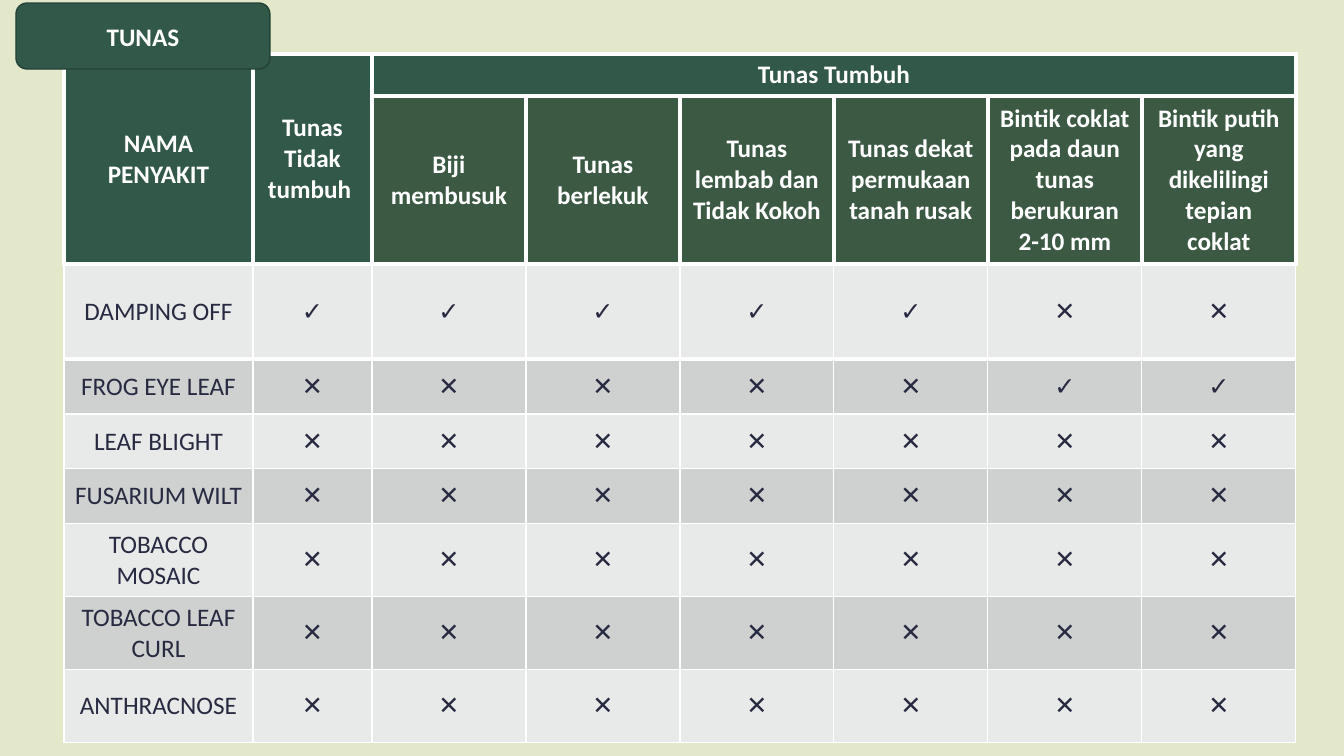
from lxml.etree import SubElement
from pptx import Presentation
from pptx.dml.color import RGBColor
from pptx.enum.shapes import MSO_SHAPE
from pptx.enum.text import MSO_ANCHOR, PP_ALIGN
from pptx.oxml.ns import qn
from pptx.util import Pt

THEME = {
    "font": "Calibri",
    "size": 18,
    "background": "E4E8CB",
    "header": "315848",
    "subheader": "3C5A43",
    "tag_line": "244135",
    "light": "FFFFFF",
    "dark": "272A40",
    "bands": ("E8EAE9", "CED1CF"),
    "thick": 3,
    "thin": 1,
}
PX = 914400 / 100.8


def write_text(text_frame, text, color, bold):
    paragraph = text_frame.paragraphs[0]
    paragraph.alignment = PP_ALIGN.CENTER
    run = paragraph.add_run()
    run.text = text
    run.font.name = THEME["font"]
    run.font.size = Pt(THEME["size"])
    run.font.bold = bold
    run.font.color.rgb = RGBColor.from_string(THEME[color])


def style_cell(cell, fill, top, bottom, side):
    properties = cell._tc.get_or_add_tcPr()
    for tag, width in (("a:lnL", side), ("a:lnR", side), ("a:lnT", top), ("a:lnB", bottom)):
        line = SubElement(properties, qn(tag), w=str(Pt(width)))
        line_fill = SubElement(line, qn("a:solidFill"))
        SubElement(line_fill, qn("a:srgbClr"), val=THEME["light"])
    cell.fill.solid()
    cell.fill.fore_color.rgb = RGBColor.from_string(fill)
    cell.vertical_anchor = MSO_ANCHOR.MIDDLE


presentation = Presentation()
presentation.slide_width = round(1344 * PX)
presentation.slide_height = round(756 * PX)
slide = presentation.slides.add_slide(presentation.slide_layouts[6])
slide.background.fill.solid()
slide.background.fill.fore_color.rgb = RGBColor.from_string(THEME["background"])

column_widths = [189, 119] + [154] * 6
row_heights = [42, 168, 95, 55, 55, 55, 73, 73, 73]
headers = {
    (0, 0): "NAMA PENYAKIT",
    (0, 1): "Tunas Tidak tumbuh ",
    (0, 2): "Tunas Tumbuh",
    (1, 2): "Biji membusuk",
    (1, 3): "Tunas berlekuk",
    (1, 4): "Tunas lembab dan Tidak Kokoh",
    (1, 5): "Tunas dekat permukaan tanah rusak",
    (1, 6): "Bintik coklat pada daun tunas berukuran 2-10 mm",
    (1, 7): "Bintik putih yang dikelilingi tepian coklat",
}
diseases = [
    ("DAMPING OFF", "✓✓✓✓✓✕✕"),
    ("FROG EYE LEAF", "✕✕✕✕✕✓✓"),
    ("LEAF BLIGHT", "✕✕✕✕✕✕✕"),
    ("FUSARIUM WILT", "✕✕✕✕✕✕✕"),
    ("TOBACCO MOSAIC", "✕✕✕✕✕✕✕"),
    ("TOBACCO LEAF CURL", "✕✕✕✕✕✕✕"),
    ("ANTHRACNOSE", "✕✕✕✕✕✕✕"),
]

table_frame = slide.shapes.add_table(
    len(row_heights), len(column_widths),
    round(64 * PX), round(54 * PX),
    round(sum(column_widths) * PX), round(sum(row_heights) * PX),
)
table = table_frame.table
for column, width in zip(table.columns, column_widths):
    column.width = round(width * PX)
for row, height in zip(table.rows, row_heights):
    row.height = round(height * PX)

for row_index in range(2):
    for column_index in range(len(column_widths)):
        is_subheader = row_index == 1 and column_index > 1
        fill = THEME["subheader" if is_subheader else "header"]
        style_cell(table.cell(row_index, column_index), fill, THEME["thick"], THEME["thick"], THEME["thick"])
for first, last in (((0, 0), (1, 0)), ((0, 1), (1, 1)), ((0, 2), (0, 7))):
    table.cell(*first).merge(table.cell(*last))
for position, label in headers.items():
    write_text(table.cell(*position).text_frame, label, "light", True)

for disease_index, (name, marks) in enumerate(diseases):
    fill = THEME["bands"][disease_index % 2]
    top = THEME["thick"] if disease_index < 2 else THEME["thin"]
    bottom = THEME["thick"] if disease_index == 0 else THEME["thin"]
    for column_index, text in enumerate([name, *marks]):
        cell = table.cell(disease_index + 2, column_index)
        style_cell(cell, fill, top, bottom, THEME["thin"])
        write_text(cell.text_frame, text, "dark", column_index > 0)

tag_shape = slide.shapes.add_shape(
    MSO_SHAPE.ROUNDED_RECTANGLE, round(16 * PX), round(3 * PX), round(254 * PX), round(66 * PX)
)
tag_shape.shadow.inherit = False
tag_shape.fill.solid()
tag_shape.fill.fore_color.rgb = RGBColor.from_string(THEME["header"])
tag_shape.line.color.rgb = RGBColor.from_string(THEME["tag_line"])
tag_shape.line.width = Pt(THEME["thin"])
tag_shape.text_frame.vertical_anchor = MSO_ANCHOR.MIDDLE
write_text(tag_shape.text_frame, "TUNAS", "light", True)

presentation.save("out.pptx")
